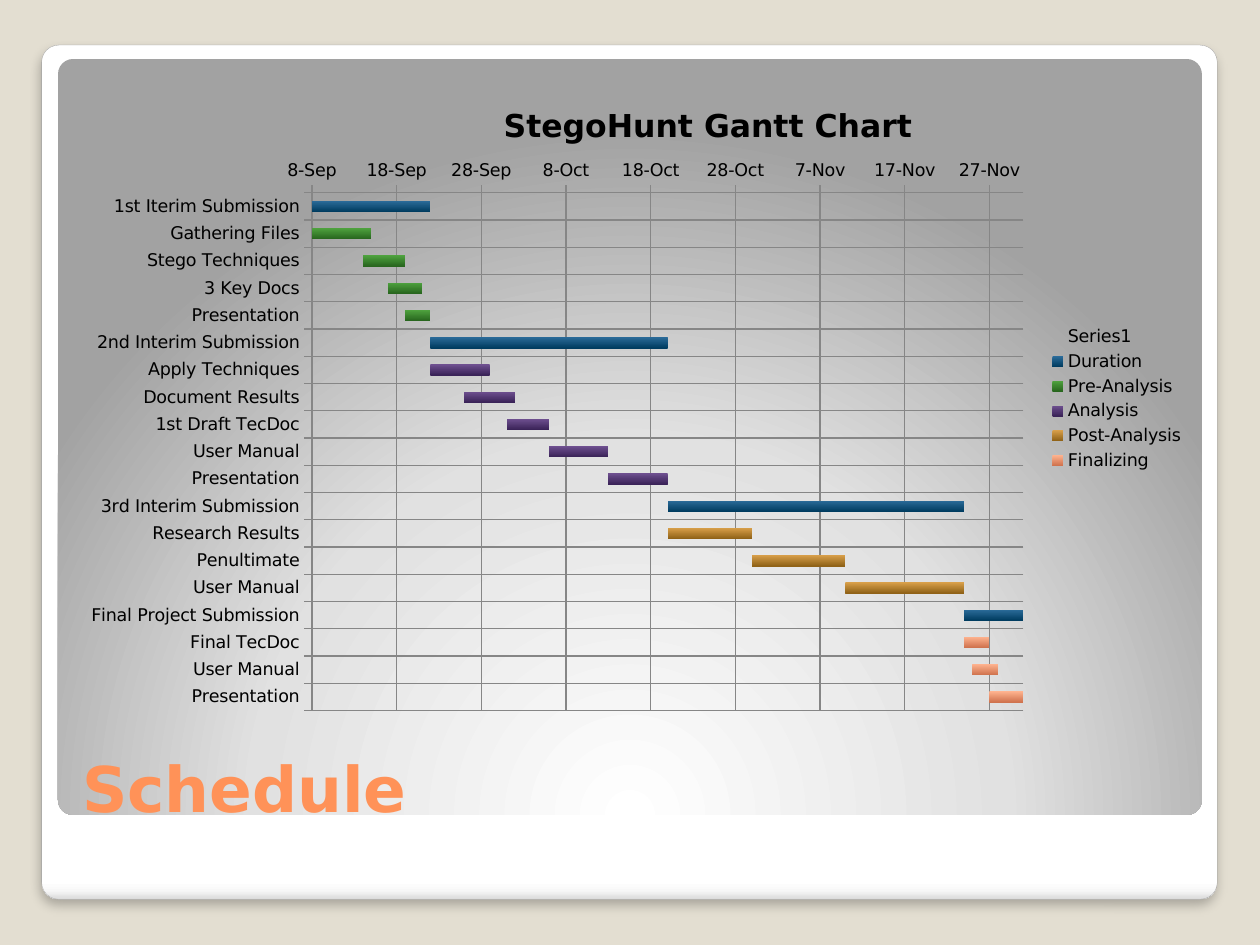
from dataclasses import dataclass

from pptx import Presentation
from pptx import util as u
from pptx.chart.data import CategoryChartData
from pptx.dml.color import RGBColor
from pptx.enum import chart as ch, shapes, text
from pptx.oxml import parse_xml
from pptx.oxml.ns import nsdecls, qn


@dataclass(frozen=True)
class Theme:
    font: str = "DejaVu Sans"
    backdrop: str = "E3DED1"
    accent: str = "FF9258"
    ink: str = "000000"
    grid: str = "868686"
    edge: str = "A4A4A4"
    heading_size: float = 36
    chart_title_size: float = 18
    label_size: float = 10


@dataclass(frozen=True)
class Phase:
    name: str
    top: str
    bottom: str


@dataclass(frozen=True)
class Task:
    name: str
    start: int  # days after the project start
    days: int
    phase: str


@dataclass(frozen=True)
class Panel:
    left: float
    top: float
    width: float
    height: float
    stops: tuple[tuple[int, str], ...]
    direction: str


THEME = Theme()
PROJECT_START, PROJECT_END = 41890, 41974  # 8 September to 1 December

PHASES = [
    Phase("Duration", "2C6C9A", "003C60"),
    Phase("Pre-Analysis", "4FA33F", "28661E"),
    Phase("Analysis", "6F5090", "3A2358"),
    Phase("Post-Analysis", "D9A04A", "906217"),
    Phase("Finalizing", "FFB490", "D0734E"),
]
TASKS = [
    Task("1st Iterim Submission", 0, 14, "Duration"),
    Task("Gathering Files", 0, 7, "Pre-Analysis"),
    Task("Stego Techniques", 6, 5, "Pre-Analysis"),
    Task("3 Key Docs", 9, 4, "Pre-Analysis"),
    Task("Presentation", 11, 3, "Pre-Analysis"),
    Task("2nd Interim Submission", 14, 28, "Duration"),
    Task("Apply Techniques", 14, 7, "Analysis"),
    Task("Document Results", 18, 6, "Analysis"),
    Task("1st Draft TecDoc", 23, 5, "Analysis"),
    Task("User Manual", 28, 7, "Analysis"),
    Task("Presentation", 35, 7, "Analysis"),
    Task("3rd Interim Submission", 42, 35, "Duration"),
    Task("Research Results", 42, 10, "Post-Analysis"),
    Task("Penultimate", 52, 11, "Post-Analysis"),
    Task("User Manual", 63, 14, "Post-Analysis"),
    Task("Final Project Submission", 77, 7, "Duration"),
    Task("Final TecDoc", 77, 3, "Finalizing"),
    Task("User Manual", 78, 3, "Finalizing"),
    Task("Presentation", 80, 4, "Finalizing"),
]

DOWNWARD = '<a:lin ang="5400000" scaled="0"/>'
FROM_BELOW = ('<a:path path="circle"><a:fillToRect l="50000" t="175000" '
              'r="50000" b="-75000"/></a:path>')
CARD = Panel(0.84, 0.91, 23.7, 17.22,
             ((0, "FFFFFF"), (98, "FFFFFF"), (99, "F7F7F7"), (100, "DADADA")),
             DOWNWARD)
STAGE = Panel(1.17, 1.19, 23.06, 15.24,
              ((0, "FFFFFF"), (55, "E1E1E1"), (100, "A2A2A2")), FROM_BELOW)


def set_gradient(fill, properties, stops, direction: str) -> None:
    """Fill with any number of (percent, colour) stops."""
    fill.gradient()
    marks = "".join(f'<a:gs pos="{pos * 1000}"><a:srgbClr val="{color}"/></a:gs>'
                    for pos, color in stops)
    gradient = parse_xml(f'<a:gradFill {nsdecls("a")} rotWithShape="1">'
                         f'<a:gsLst>{marks}</a:gsLst>{direction}</a:gradFill>')
    properties.replace(properties.find(qn("a:gradFill")), gradient)


def format_font(font, *, size: float, color: str, bold: bool = False) -> None:
    font.name, font.size, font.bold = THEME.font, u.Pt(size), bold
    font.color.rgb = RGBColor.from_string(color)


def write_text(frame, content: str, **font_format) -> None:
    paragraph = frame.paragraphs[0]
    run = paragraph.add_run()
    run.text = content
    format_font(run.font, **font_format)


def draw_panel(slide, panel: Panel):
    shape = slide.shapes.add_shape(
        shapes.MSO_SHAPE.ROUNDED_RECTANGLE, u.Cm(panel.left), u.Cm(panel.top),
        u.Cm(panel.width), u.Cm(panel.height))
    shape.adjustments[0] = 0.02
    shape.shadow.inherit = False
    shape.line.fill.background()
    set_gradient(shape.fill, shape._element.spPr, panel.stops, panel.direction)
    return shape


def place_part(part, **fractions: float) -> None:
    """Fix a chart part at fractions of the chart area."""
    for old in part.findall(qn("c:layout")):
        part.remove(old)
    target = '<c:layoutTarget val="inner"/>' if "w" in fractions else ""
    modes = "".join(f'<c:{key}Mode val="edge"/>' for key in "xy")
    sizes = "".join(f'<c:{key} val="{value}"/>' for key, value in fractions.items())
    layout = parse_xml(f'<c:layout {nsdecls("c")}><c:manualLayout>{target}{modes}'
                       f'{sizes}</c:manualLayout></c:layout>')
    index = 1 if part.find(qn("c:tx")) is not None else 0
    part.insert(index, layout)


def draw_gantt(slide) -> None:
    data = CategoryChartData()
    data.categories = [task.name for task in TASKS]
    data.add_series("Series1", [PROJECT_START + task.start for task in TASKS])
    for phase in PHASES:
        data.add_series(phase.name, [task.days if task.phase == phase.name else 0
                                     for task in TASKS])
    gantt = slide.shapes.add_chart(
        ch.XL_CHART_TYPE.BAR_STACKED, u.Cm(1.4), u.Cm(1.47),
        u.Cm(22.73), u.Cm(13.13), data).chart
    format_font(gantt.font, size=THEME.label_size, color=THEME.ink)
    gantt._chartSpace.find(qn("c:txPr")).addprevious(parse_xml(
        f'<c:spPr {nsdecls("c", "a")}><a:noFill/><a:ln><a:noFill/></a:ln></c:spPr>'))

    # Chart title and legend
    write_text(gantt.chart_title.text_frame, "StegoHunt Gantt Chart",
               size=THEME.chart_title_size, color=THEME.ink, bold=True)
    place_part(gantt.chart_title._element, x=0.38, y=0.04)
    gantt.has_legend = True
    gantt.legend.position = ch.XL_LEGEND_POSITION.RIGHT
    gantt.legend.include_in_layout = False

    # Bars: the first series only shifts the others to their start dates
    plot = gantt.plots[0]
    plot.gap_width, plot.overlap, plot.vary_by_categories = 150, 100, False
    offset, *bars = plot.series
    offset.format.fill.background()
    offset.format.line.fill.background()
    for bar, phase in zip(bars, PHASES):
        bar.format.line.fill.background()
        set_gradient(bar.format.fill, bar._element.get_or_add_spPr(),
                     ((0, phase.top), (100, phase.bottom)), DOWNWARD)

    # Axes
    tasks_axis, dates_axis = gantt.category_axis, gantt.value_axis
    for axis in (tasks_axis, dates_axis):
        axis.has_major_gridlines = True
        axis.major_tick_mark = ch.XL_TICK_MARK.CROSS
        for line in (axis.format.line, axis.major_gridlines.format.line):
            line.color.rgb = RGBColor.from_string(THEME.grid)
            line.width = u.Pt(0.75)
    tasks_axis.reverse_order = True
    dates_axis.minimum_scale, dates_axis.maximum_scale = PROJECT_START, PROJECT_END
    dates_axis.major_unit = 10
    dates_axis.tick_labels.number_format = "d\\-mmm"
    dates_axis.tick_labels.number_format_is_linked = False
    place_part(gantt._chartSpace.chart.plotArea, x=0.215, y=0.184, w=0.631, h=0.795)


deck = Presentation()
deck.slide_width, deck.slide_height = u.Cm(25.4), u.Cm(19.05)
schedule = deck.slides.add_slide(deck.slide_layouts[5])
schedule.background.fill.solid()
schedule.background.fill.fore_color.rgb = RGBColor.from_string(THEME.backdrop)

# Card with a soft shadow, and the grey stage on it
card = draw_panel(schedule, CARD)
card.line.color.rgb = RGBColor.from_string(THEME.edge)
card.line.width = u.Pt(0.16)
card._element.spPr.find(qn("a:effectLst")).append(parse_xml(
    f'<a:outerShdw {nsdecls("a")} blurRad="{u.Pt(6)}" dist="{u.Pt(4)}" dir="5400000">'
    '<a:srgbClr val="000000"><a:alpha val="25000"/></a:srgbClr></a:outerShdw>'))
draw_panel(schedule, STAGE)

# Heading, brought in front of the panels
heading = schedule.shapes.title
schedule.shapes._spTree.append(heading._element)
heading.left, heading.top = u.Cm(1.4), u.Cm(13.84)
heading.width, heading.height = u.Cm(22.73), u.Cm(2.92)
heading.text_frame.vertical_anchor = text.MSO_ANCHOR.BOTTOM
heading.text_frame.paragraphs[0].alignment = text.PP_ALIGN.LEFT
write_text(heading.text_frame, "Schedule", size=THEME.heading_size,
           color=THEME.accent, bold=True)

draw_gantt(schedule)
deck.save("out.pptx")
